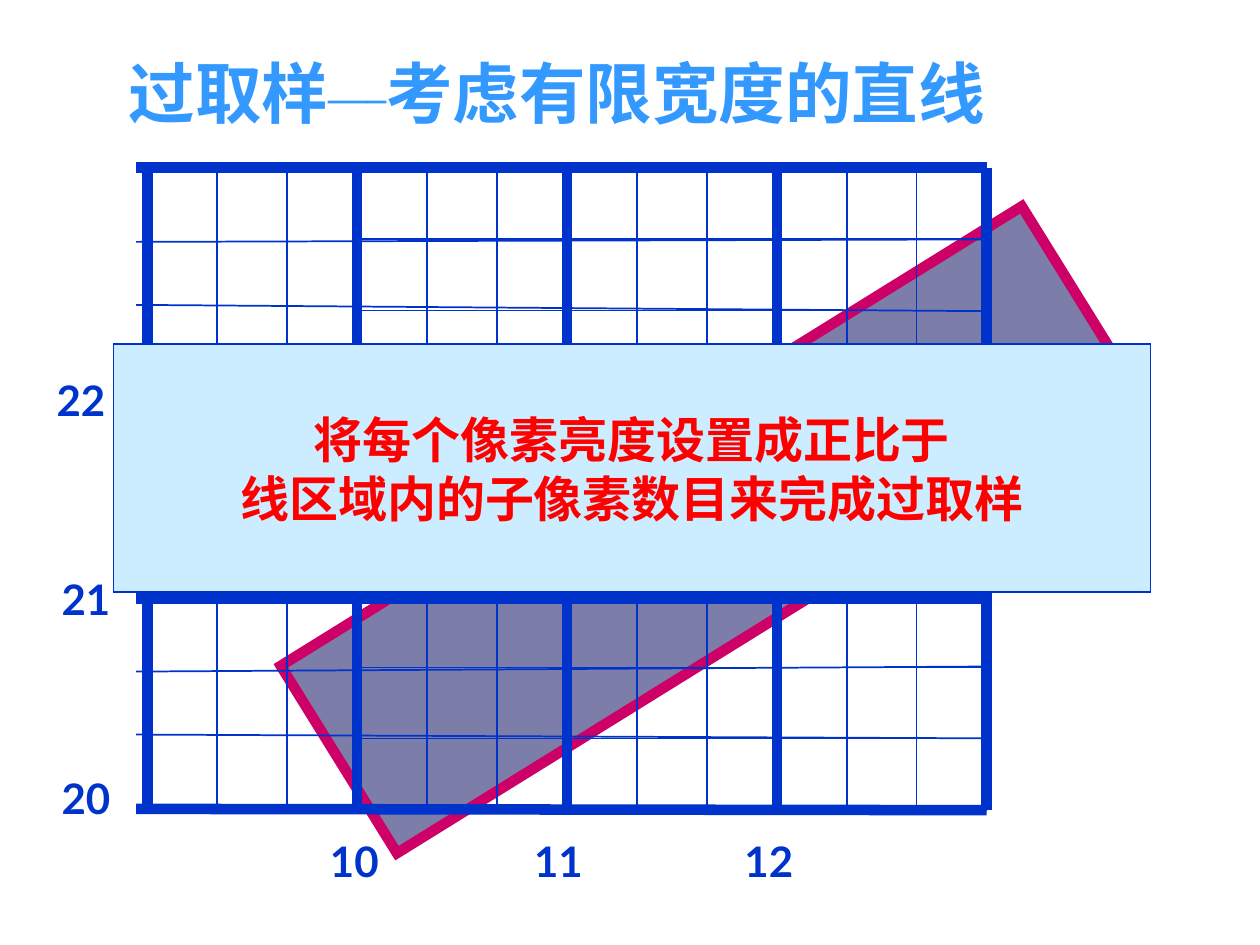
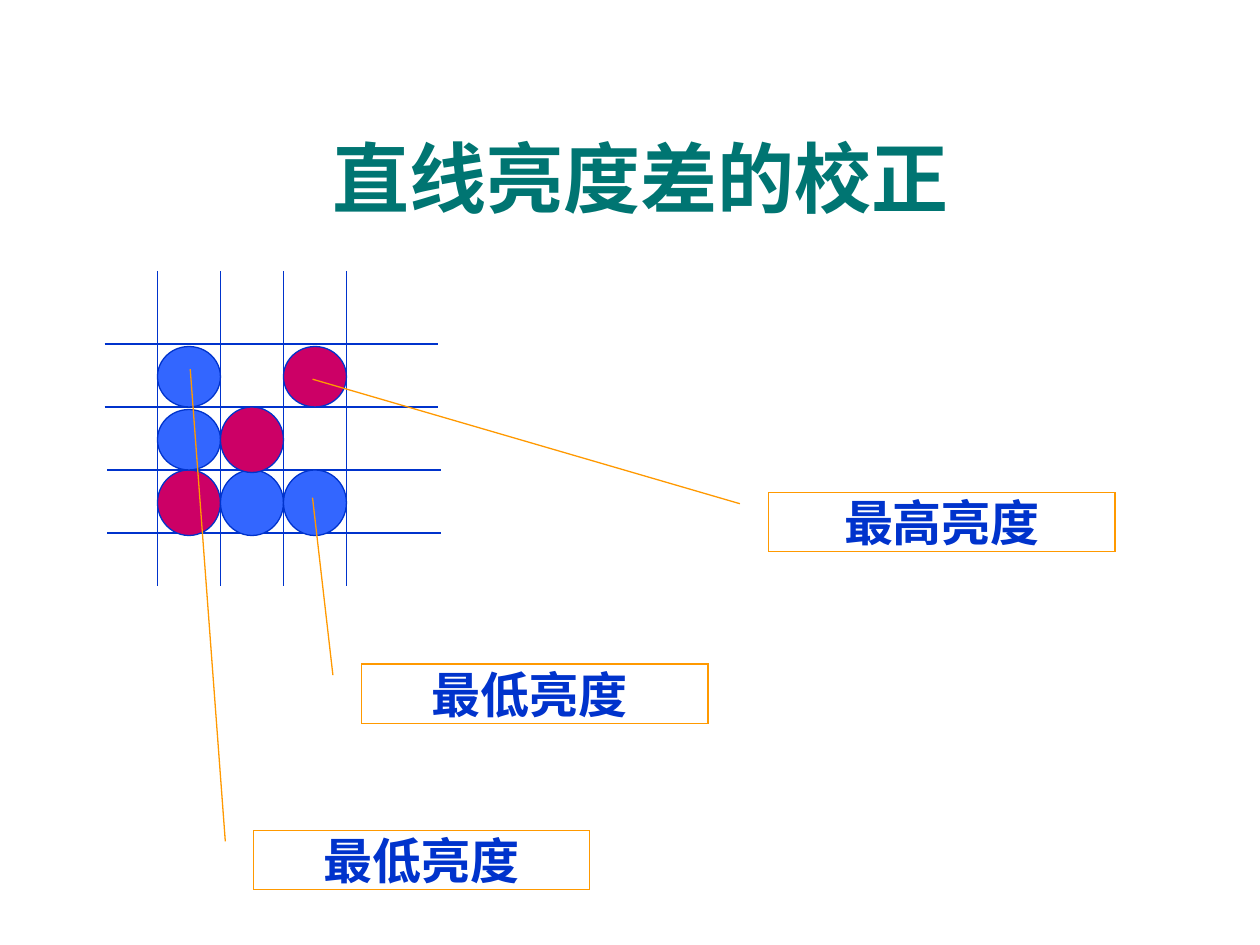
from pptx import Presentation
from pptx import util as u
from pptx.dml.color import RGBColor
from pptx.enum import shapes, text
from pptx.oxml import ns
from lxml import etree

COLORS = {
    "ink": "0033CC", "sky": "3399FF", "teal": "007572", "magenta": "CC0066",
    "band": "7D7DA9", "panel": "CCECFF", "red": "FF0000", "dot": "3366FF",
    "callout": "FF9900",
}
CJK_FONT = "Noto Sans CJK SC"
FORMATS = {
    "oversampling": {"name": "Times New Roman", "size": u.Pt(38), "bold": True},
    "correction": {"name": "Times New Roman", "size": u.Pt(44), "bold": True},
    "axis": {"name": "Lato", "size": u.Pt(24), "bold": True},
    "panel": {"name": "Arial", "size": u.Pt(28), "bold": True},
    "callout": {"name": CJK_FONT, "size": u.Pt(28), "bold": True},
}
WIDTH, HEIGHT = u.Inches(10), u.Inches(7.5)
COLUMN, ROW = WIDTH / 10, HEIGHT / 7.5


def rgb(name):
    """Return the named colour."""
    return RGBColor.from_string(COLORS[name])


def place(left, top, width, height):
    """Turn grid columns and rows into slide lengths."""
    return int(left * COLUMN), int(top * ROW), int(width * COLUMN), int(height * ROW)


def add_run(paragraph, words, style, color, baseline=None):
    """Add formatted words to a paragraph."""
    run = paragraph.add_run()
    run.text = words
    for name, value in FORMATS[style].items():
        setattr(run.font, name, value)
    run.font.color.rgb = rgb(color)
    properties = run._r.get_or_add_rPr()
    etree.SubElement(properties, ns.qn("a:ea"), typeface=CJK_FONT)
    if baseline:
        properties.set("baseline", str(baseline))


def set_frame(shape, align, wrap=True, inset=None, anchor=text.MSO_ANCHOR.MIDDLE):
    """Set the text frame and return its first paragraph."""
    frame = shape.text_frame
    values = {"word_wrap": wrap, "auto_size": text.MSO_AUTO_SIZE.NONE,
              "vertical_anchor": anchor}
    if inset is not None:
        values.update({f"margin_{side}": inset for side in ("left", "top", "right", "bottom")})
    for name, value in values.items():
        setattr(frame, name, value)
    frame.paragraphs[0].alignment = align
    return frame.paragraphs[0]


def add_title(slide, box, align, style, color, runs):
    """Move the title placeholder and fill it with (words, baseline) runs."""
    title = slide.shapes.title
    title.left, title.top, title.width, title.height = place(*box)
    paragraph = set_frame(title, align)
    for words, baseline in runs:
        add_run(paragraph, words, style, color, baseline)


def add_label(slide, left, top, words):
    """Add an axis number."""
    label = slide.shapes.add_textbox(*place(left, top, 0.59, 0.5))
    paragraph = set_frame(label, text.PP_ALIGN.LEFT, False, anchor=text.MSO_ANCHOR.TOP)
    add_run(paragraph, words, "axis", "ink")


def add_figure(slide, kind, box, fill=None, line="ink", weight=0.75):
    """Add a preset shape with flat fill and outline."""
    figure = slide.shapes.add_shape(kind, *place(*box))
    figure.shadow.inherit = False
    if fill:
        figure.fill.solid()
        figure.fill.fore_color.rgb = rgb(fill)
    else:
        figure.fill.background()
    figure.line.color.rgb = rgb(line)
    figure.line.width = u.Pt(weight)
    etree.SubElement(figure.line._get_or_add_ln(), ns.qn("a:miter"), lim="800000")
    return figure


def add_line(slide, start, end, weight=0.75):
    """Add a straight grid line between two points."""
    line = slide.shapes.add_connector(
        shapes.MSO_CONNECTOR.STRAIGHT, *place(*start, *end))
    line.line.color.rgb = rgb("ink")
    line.line.width = u.Pt(weight)
    etree.SubElement(line._element.spPr, ns.qn("a:effectLst"))


def add_callout(slide, box, target, words):
    """Add a framed caption whose leader ends at the target."""
    left, top, width, height = box
    callout = add_figure(slide, shapes.MSO_SHAPE.LINE_CALLOUT_1, box, line="callout")
    ends = [0.188, -0.083, (target[1] - top) / height, (target[0] - left) / width]
    for index, value in enumerate(ends):
        callout.adjustments[index] = value
    paragraph = set_frame(callout, text.PP_ALIGN.CENTER, inset=0)
    add_run(paragraph, words, "callout", "ink")


def add_subpixel_grid(slide):
    """Draw pixels as thick lines and subpixels as thin ones."""
    left, top, right, bottom = 1.17, 1.33, 7.83, 6.43
    step_x, step_y = (right - left) / 12, (bottom - top) / 9
    for row in (0, 1, 2, 5, 6, 7, 8):
        for column in range(3, 12):
            add_figure(slide, shapes.MSO_SHAPE.RECTANGLE,
                       (left + column * step_x, top + row * step_y, step_x, step_y))
    for start_x, start_y, end_y, weight in (
            (1.08, 1.33, 1.33, 6), (1.08, 1.92, 1.9, 1), (1.08, 2.42, 2.47, 1),
            (2.83, 4.73, 4.73, 1), (1.08, 4.75, 4.75, 6), (1.08, 5.33, 5.29, 1),
            (1.08, 5.83, 5.86, 1), (1.08, 6.42, 6.43, 6)):
        add_line(slide, (start_x, start_y), (right, end_y), weight)
    for column in range(13):
        x = left + column * step_x
        add_line(slide, (x, top), (x, bottom), 1 if column % 3 else 6)


def build_oversampling(slide):
    """Build the slide on oversampling a line of finite width."""
    add_title(slide, (0.92, 0.36, 7.83, 0.74), text.PP_ALIGN.LEFT, "oversampling", "sky",
              [("过取样", None), ("___", 30000), ("考虑有限宽度的直线", None)])
    for index, left in enumerate((0.39, 0.39, 0.35)):
        add_label(slide, left, 6.08 - 1.58 * index, str(20 + index))
    for index, left in enumerate((2.52, 4.14, 5.81)):
        add_label(slide, left, 6.58, str(10 + index))
    wide_line = add_figure(slide, shapes.MSO_SHAPE.RECTANGLE, (2.17, 3.33, 6.92, 1.75),
                           "band", "magenta", 6)
    wide_line.rotation = 328.2
    add_subpixel_grid(slide)
    panel = add_figure(slide, shapes.MSO_SHAPE.RECTANGLE, (0.9, 2.73, 8.23, 1.97), "panel")
    paragraph = set_frame(panel, text.PP_ALIGN.CENTER, False)
    add_run(paragraph, "将每个像素亮度设置成正比于", "panel", "red")
    paragraph = panel.text_frame.add_paragraph()
    paragraph.alignment = text.PP_ALIGN.CENTER
    add_run(paragraph, "线区域内的子像素数目来完成过取样", "panel", "red")


def build_correction(slide):
    """Build the slide on correcting line brightness."""
    add_title(slide, (1.5, 0.98, 7.17, 0.84), text.PP_ALIGN.CENTER, "correction", "teal",
              [("直线亮度差的校正", None)])
    left, top, step = 1.25, 2.73, 0.5
    for index in range(4):
        x, y = left + index * step, top + index * step
        start = 0.83 if index < 2 else 0.85
        add_line(slide, (start, y), (start + 2.65, y))
        add_line(slide, (x, 2.15), (x, 4.65))
    for column, row, color, inset in (
            (0, 2, "magenta", 0), (1, 2, "dot", 0), (2, 2, "dot", 0), (0, 1, "dot", 0.02),
            (0, 0, "dot", 0.02), (1, 1, "magenta", 0), (2, 0, "magenta", 0.02)):
        add_figure(slide, shapes.MSO_SHAPE.OVAL,
                   (left + column * step, top + row * step + inset, step, 0.52 - 2 * inset),
                   color)
    for box, target, words in (
            ((2.87, 5.27, 2.75, 0.47), (2.48, 3.95), "最低亮度 "),
            ((2.01, 6.59, 2.67, 0.47), (1.51, 2.93), "最低亮度"),
            ((6.1, 3.91, 2.75, 0.47), (2.48, 3.01), "最高亮度")):
        add_callout(slide, box, target, words)


def main():
    """Build and save both slides."""
    presentation = Presentation()
    presentation.slide_width, presentation.slide_height = WIDTH, HEIGHT
    for build in (build_oversampling, build_correction):
        build(presentation.slides.add_slide(presentation.slide_layouts[5]))
    presentation.save("out.pptx")


if __name__ == "__main__":
    main()
